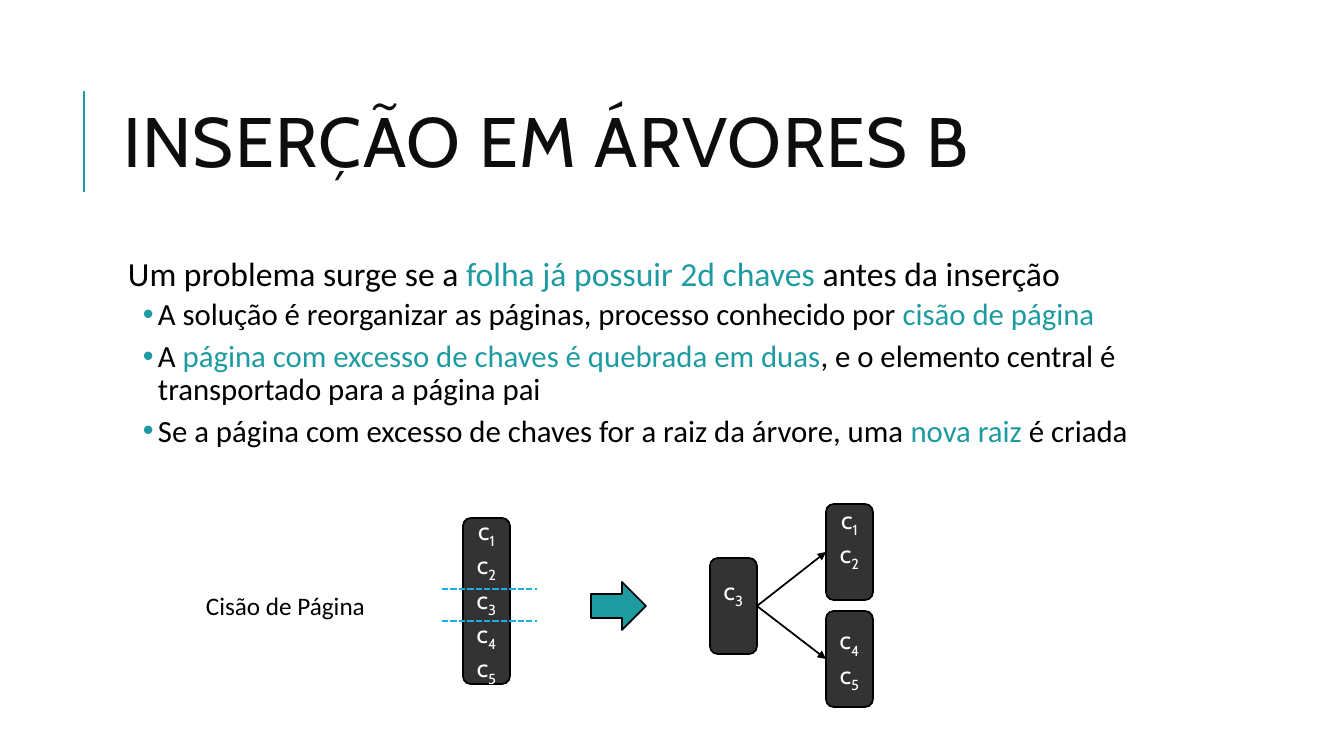
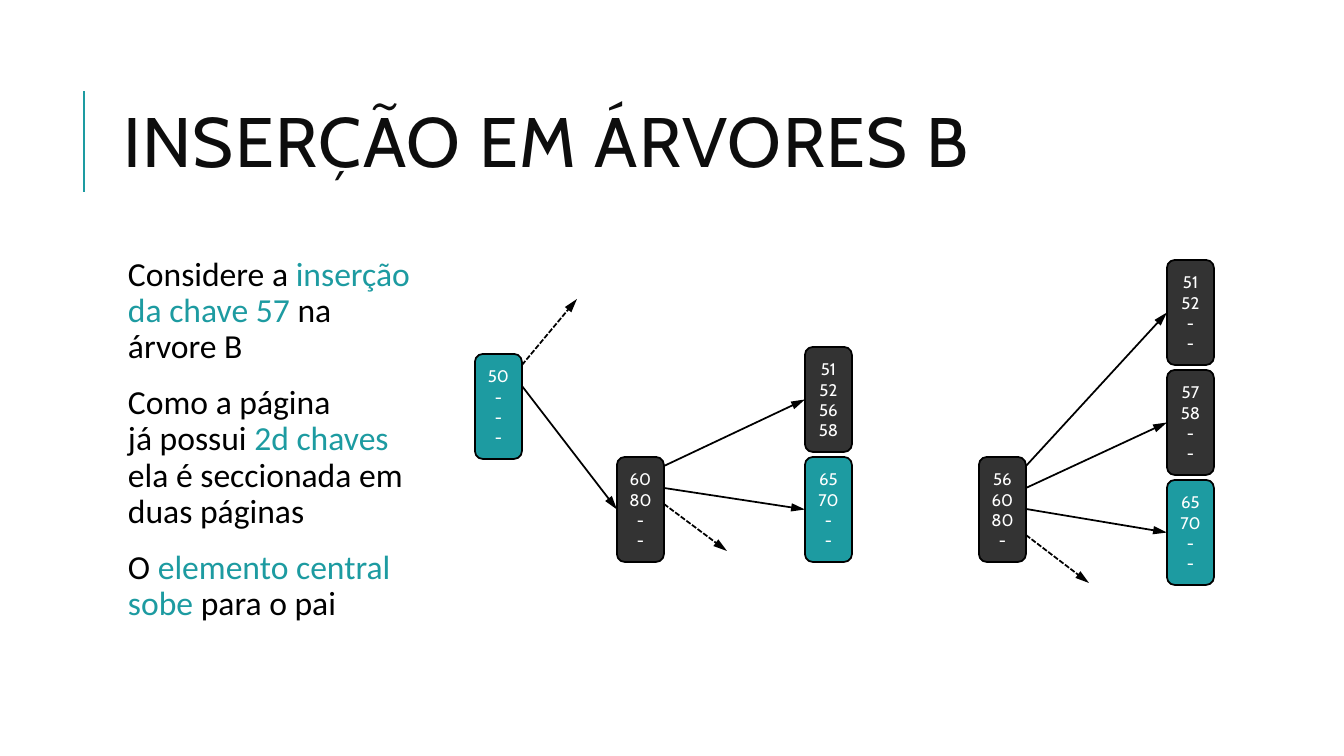
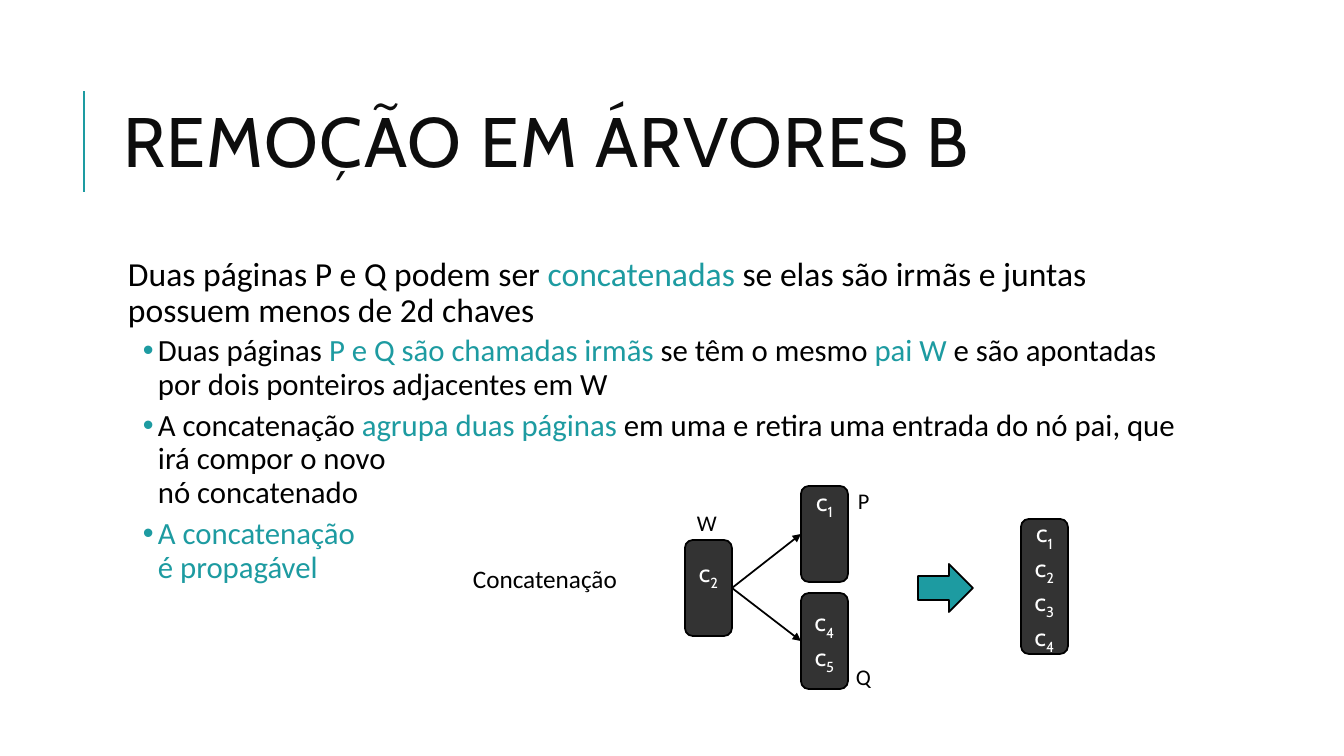
"""Build three slides on insertion and removal in B-trees."""
from dataclasses import dataclass

from lxml import etree
from pptx import Presentation
from pptx import util as u
from pptx.dml.color import RGBColor
from pptx.enum import dml, shapes, text
from pptx.oxml import ns


@dataclass(frozen=True)
class Theme:
    accent: str = "1D9BA1"
    dark: str = "333333"
    cut: str = "1CADE4"
    ink: str = "000000"
    heading: str = "0D0D0D"
    light: str = "FFFFFF"
    display: str = "Cabin"
    body: str = "Calibri"
    title_size: int = 50
    level_sizes: tuple = (24, 22)
    entry_size: int = 18
    key_size: int = 12
    label_size: int = 18
    letter_size: int = 16
    outline: float = 1.25
    rule: float = 1.5


THEME = Theme()

TITLES = ["INSERÇÃO EM ÁRVORES B", "INSERÇÃO EM ÁRVORES B", "REMOÇÃO EM ÁRVORES B"]

# Asterisks delimit accented words.
BODIES = [
    [
        (0, "Um problema surge se a *folha já possuir 2d chaves* antes da inserção"),
        (1, "A solução é reorganizar as páginas, processo conhecido por *cisão de página*"),
        (1, "A *página com excesso de chaves é quebrada em duas*, e o elemento central é "
            "transportado para a página pai"),
        (1, "Se a página com excesso de chaves for a raiz da árvore, uma *nova raiz *é criada"),
    ],
    [
        (0, "Considere a *inserção \nda chave 57* na \nárvore B"),
        (0, "Como a página\njá possui *2d chaves\n*ela é seccionada em\nduas páginas"),
        (0, "O *elemento central\nsobe* para o pai "),
    ],
    [
        (0, "Duas páginas P e Q podem ser *concatenadas* se elas são irmãs e juntas "
            "possuem menos de 2d chaves"),
        (1, "Duas páginas *P e Q são chamadas irmãs *se têm o mesmo *pai W* e são "
            "apontadas por dois ponteiros adjacentes em W"),
        (1, "A concatenação *agrupa duas páginas *em uma e retira uma entrada do nó pai, "
            "que irá compor o novo \nnó concatenado "),
        (1, "*A concatenação \né propagável*"),
    ],
]

SPLIT_PAGE = ["c1", "c2", "c3", "c4", "c5"]
SPLIT_FAMILY = [(["c3"], 27), (["c1", "c2"], 27), (["c4", "c5"], 0)]
JOINED_PAGE = ["c1", "c2", "c3", "c4"]
JOINED_FAMILY = [(["c2"], 27), (["c1"], 61), (["c4", "c5"], 0)]
LETTERS = [("P", 848, 482), ("Q", 846, 658), ("W", 687, 504)]

TREE_PAGES = {
    "root": (475, 354, ["50", "-", "-", "-"], THEME.accent),
    "full parent": (617, 457, ["60", "80", "-", "-"], THEME.dark),
    "full leaf": (805, 347, ["51", "52", "56", "58"], THEME.dark),
    "right leaf": (805, 457, ["65", "70", "-", "-"], THEME.accent),
    "new parent": (979, 457, ["56", "60", "80", "-"], THEME.dark),
    "low half": (1167, 260, ["51", "52", "-", "-"], THEME.dark),
    "high half": (1167, 370, ["57", "58", "-", "-"], THEME.dark),
    "new right leaf": (1167, 480, ["65", "70", "-", "-"], THEME.accent),
}
TREE_LINKS = [
    ("root", 32, "full parent"),
    ("full parent", 9, "full leaf"),
    ("full parent", 31, "right leaf"),
    ("new parent", 9, "low half"),
    ("new parent", 31, "high half"),
    ("new parent", 52, "new right leaf"),
]
TREE_EXITS = [
    ("root", 11, (577, 299)),
    ("full parent", 47, (727, 551)),
    ("new parent", 78, (1089, 583)),
]

SLIDE_W, SLIDE_H = 1344, 756
TITLE_BOX = (113, 65, 1072, 165)
BODY_BOX = (113, 252, 1072, 444)
PAGE_W, PAGE_H, TREE_H = 47, 96, 105
CHILD_DX, CHILD_DYS = 116, (-54, 53)
LEFT_SITE, RIGHT_SITE = 1, 3


def px(length):
    return u.Emu(round(length * 914400 / 100.8))


def rgb(value):
    return RGBColor.from_string(value)


def sub(parent, tag, **attributes):
    return etree.SubElement(parent, ns.qn(tag), attributes)


def add_run(paragraph, words, size, font, color):
    run = paragraph.add_run()
    run.text = words
    run.font.size = u.Pt(size)
    run.font.name = font
    run.font.color.rgb = rgb(color)
    return run._r.get_or_add_rPr()


def next_paragraph(frame, index):
    return frame.add_paragraph() if index else frame.paragraphs[0]


def place(item, box):
    item.left, item.top, item.width, item.height = map(px, box)


def add_line(canvas, start, end, color=THEME.ink, width=THEME.outline, dashed=False, head=None):
    line = canvas.add_connector(shapes.MSO_CONNECTOR.STRAIGHT, *map(px, start + end))
    line.line.color.rgb = rgb(color)
    line.line.width = u.Pt(width)
    if dashed:
        line.line.dash_style = dml.MSO_LINE.SQUARE_DOT
    if head:
        sub(line.get_or_add_ln(), "a:tailEnd", type="triangle", w="med", len=head)
    sub(line.element.spPr, "a:effectLst")
    return line


def add_solid(canvas, preset, box, color):
    solid = canvas.add_shape(preset, *map(px, box))
    solid.shadow.inherit = False
    solid.fill.solid()
    solid.fill.fore_color.rgb = rgb(color)
    solid.line.color.rgb = rgb(THEME.ink)
    solid.line.width = u.Pt(THEME.outline)
    return solid


def add_page(canvas, x, y, height, entries, color=THEME.dark, spare=0):
    page = add_solid(canvas, shapes.MSO_SHAPE.ROUNDED_RECTANGLE, (x, y, PAGE_W, height), color)
    frame = page.text_frame
    frame.vertical_anchor = text.MSO_ANCHOR.MIDDLE
    frame.margin_top, frame.margin_bottom = 0, px(spare)
    for index, entry in enumerate(entries):
        paragraph = next_paragraph(frame, index)
        paragraph.alignment = text.PP_ALIGN.CENTER
        if entry.startswith("c"):
            style = (THEME.entry_size, THEME.display, THEME.light)
            add_run(paragraph, entry[0], *style)
            add_run(paragraph, entry[1:], *style).set("baseline", "-25000")
        else:
            add_run(paragraph, entry, THEME.key_size, THEME.display, THEME.light)
    return page


def add_family(slide, x, y, family):
    canvas = slide.shapes.add_group_shape().shapes
    (entries, spare), *children = family
    parent = add_page(canvas, x, y, PAGE_H, entries, spare=spare)
    for dy, (entries, spare) in zip(CHILD_DYS, children):
        child = add_page(canvas, x + CHILD_DX, y + dy, PAGE_H, entries, spare=spare)
        link = add_line(canvas, (x + PAGE_W, y + PAGE_H // 2),
                        (x + CHILD_DX, y + dy + PAGE_H // 2), head="med")
        link.begin_connect(parent, RIGHT_SITE)
        link.end_connect(child, LEFT_SITE)


def add_label(slide, words, box, size):
    label = slide.shapes.add_textbox(*map(px, box))
    label.text_frame.word_wrap = True
    add_run(label.text_frame.paragraphs[0], words, size, THEME.body, THEME.ink)


def add_step(slide, x, y):
    add_solid(slide.shapes, shapes.MSO_SHAPE.RIGHT_ARROW, (x, y, 55, 48), THEME.accent)


def fill_title(slide, words):
    frame = slide.shapes.title.text_frame
    frame.auto_size = text.MSO_AUTO_SIZE.NONE
    frame.vertical_anchor = text.MSO_ANCHOR.MIDDLE
    paragraph = frame.paragraphs[0]
    paragraph.alignment = text.PP_ALIGN.LEFT
    paragraph.line_spacing = 0.8
    add_run(paragraph, words, THEME.title_size, THEME.display, THEME.heading).set("spc", "100")


def fill_body(slide, points):
    frame = slide.placeholders[1].text_frame
    frame.auto_size = text.MSO_AUTO_SIZE.NONE
    frame.vertical_anchor = text.MSO_ANCHOR.TOP
    frame.margin_left = frame.margin_right = frame.margin_top = frame.margin_bottom = px(5)
    for index, (level, words) in enumerate(points):
        before, after, indent, hang, bullet = [(12, 2, 10, 10, " "), (2, 4, 40, 15, "•")][level]
        paragraph = next_paragraph(frame, index)
        paragraph.level = level
        paragraph.line_spacing = 0.9
        paragraph.space_before, paragraph.space_after = u.Pt(before), u.Pt(after)
        properties = paragraph._p.get_or_add_pPr()
        properties.set("marL", str(px(indent)))
        properties.set("indent", str(-px(hang)))
        sub(sub(properties, "a:buClr"), "a:srgbClr", val=THEME.accent)
        sub(properties, "a:buChar", char=bullet)
        for part, phrase in enumerate(words.split("*")):
            color = THEME.accent if part % 2 else THEME.ink
            for row, piece in enumerate(phrase.split("\n")):
                if row:
                    paragraph.add_line_break()
                if piece:
                    add_run(paragraph, piece, THEME.level_sizes[level], THEME.body, color)


def draw_split(slide):
    add_page(slide.shapes, 463, 518, 166, SPLIT_PAGE)
    add_label(slide, "Cisão de Página", (196, 585, 215, 40), THEME.label_size)
    for y in (589, 621):
        add_line(slide.shapes, (442, y), (537, y), THEME.cut, THEME.rule, dashed=True)
    add_family(slide, 710, 558, SPLIT_FAMILY)
    add_step(slide, 591, 582)


def draw_trees(slide):
    pages = {name: add_page(slide.shapes, x, y, TREE_H, keys, color)
             for name, (x, y, keys, color) in TREE_PAGES.items()}

    def port(name, dy):
        x, y = TREE_PAGES[name][:2]
        return x + PAGE_W, y + dy

    for parent, dy, child in TREE_LINKS:
        x, y = TREE_PAGES[child][:2]
        link = add_line(slide.shapes, port(parent, dy), (x, y + TREE_H // 2), head="lg")
        link.end_connect(pages[child], LEFT_SITE)
    for parent, dy, end in TREE_EXITS:
        add_line(slide.shapes, port(parent, dy), end, dashed=True, head="lg")


def draw_join(slide):
    add_page(slide.shapes, 1021, 519, 135, JOINED_PAGE)
    add_label(slide, "Concatenação", (463, 558, 215, 40), THEME.label_size)
    add_family(slide, 685, 540, JOINED_FAMILY)
    add_step(slide, 918, 564)
    for letter, x, y in LETTERS:
        add_label(slide, letter, (x, y, 43, 37), THEME.letter_size)


def prepare_layout(layout):
    title, body, *footers = layout.placeholders
    place(title, TITLE_BOX)
    place(body, BODY_BOX)
    for footer in footers:
        layout.shapes.element.remove(footer.element)


def main():
    deck = Presentation()
    deck.slide_width, deck.slide_height = px(SLIDE_W), px(SLIDE_H)
    layout = deck.slide_layouts[1]
    prepare_layout(layout)
    slides = [deck.slides.add_slide(layout) for _ in TITLES]
    title_rule = add_line(slides[0].shapes, (84, 192), (84, 91), THEME.accent, THEME.rule)
    layout.shapes.element.append(title_rule.element)
    for slide, title, points, draw in zip(slides, TITLES, BODIES,
                                          (draw_split, draw_trees, draw_join)):
        fill_title(slide, title)
        fill_body(slide, points)
        draw(slide)
    deck.save("out.pptx")


main()
